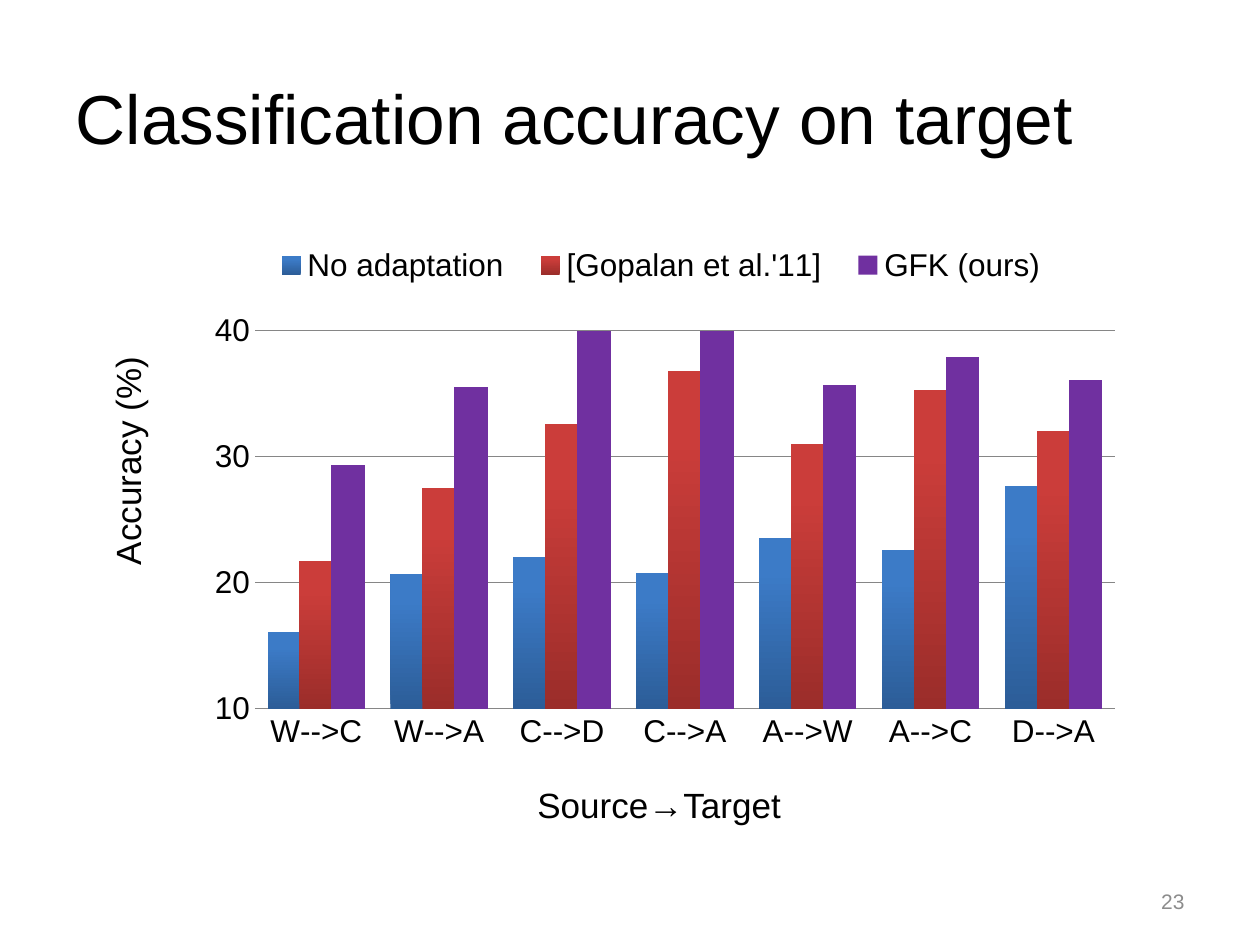
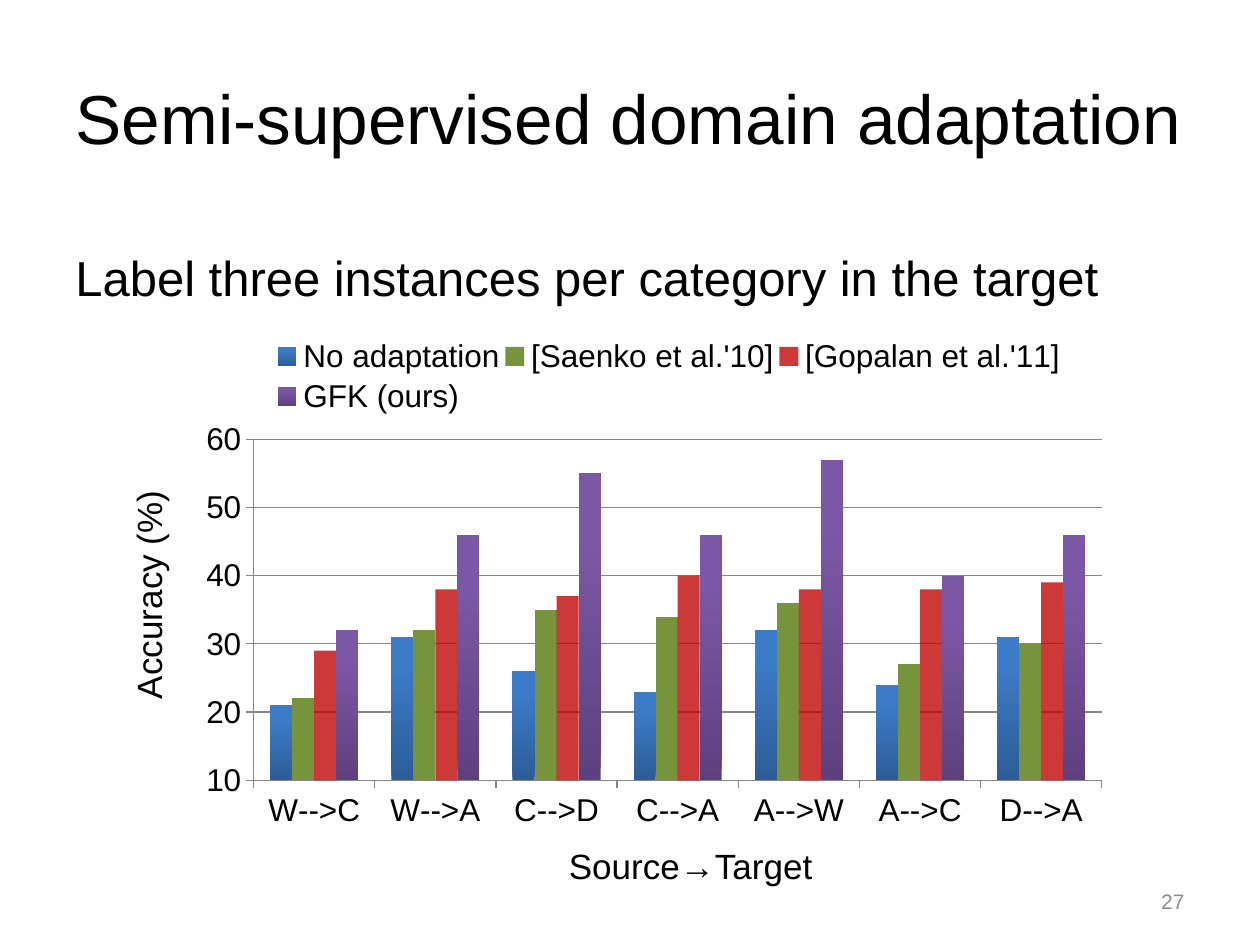
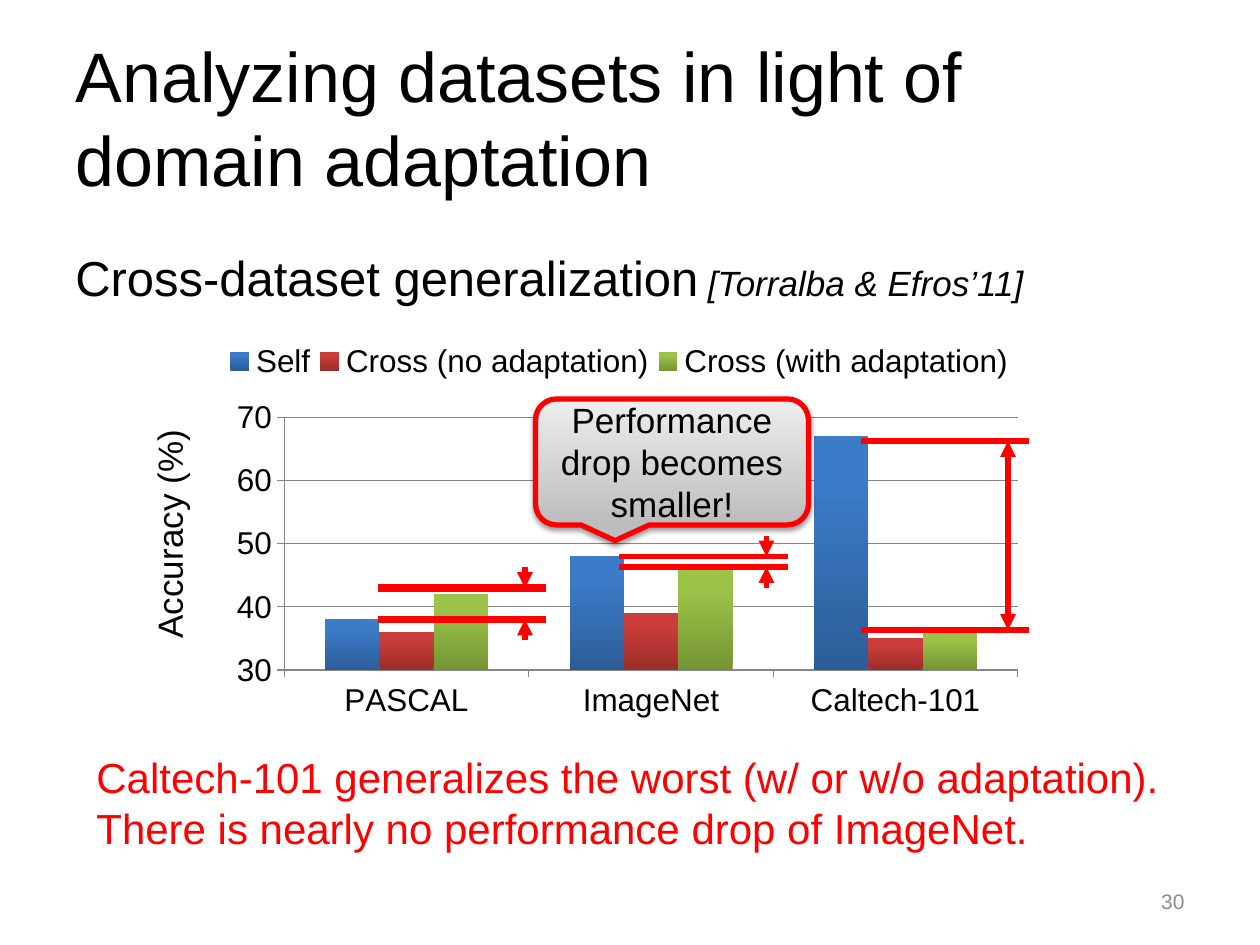
from lxml import etree
from pptx import Presentation
from pptx.chart.data import CategoryChartData
from pptx.dml.color import RGBColor
from pptx.enum.chart import XL_CHART_TYPE, XL_LEGEND_POSITION, XL_TICK_MARK
from pptx.enum.shapes import MSO_CONNECTOR, MSO_SHAPE
from pptx.enum.text import MSO_ANCHOR, MSO_AUTO_SIZE, PP_ALIGN
from pptx.oxml.ns import qn
from pptx.util import Pt

CLUSTERED = XL_CHART_TYPE.COLUMN_CLUSTERED
LEGEND_RIGHT = XL_LEGEND_POSITION.RIGHT
TICK_NONE = XL_TICK_MARK.NONE
TICK_OUT = XL_TICK_MARK.OUTSIDE
STRAIGHT = MSO_CONNECTOR.STRAIGHT
CALLOUT = MSO_SHAPE.ROUNDED_RECTANGULAR_CALLOUT
MIDDLE = MSO_ANCHOR.MIDDLE
TOP = MSO_ANCHOR.TOP
NO_FIT = MSO_AUTO_SIZE.NONE
LEFT = PP_ALIGN.LEFT
RIGHT = PP_ALIGN.RIGHT
CENTER = PP_ALIGN.CENTER

FONT = "Arial"
BLACK = "000000"
RED = "FF0000"
NUMBER_GRAY = "8C8C8C"
AXIS_GRAY = "868686"
BLUE_BAR = ("2C5D98", "3C7BC7")
RED_BAR = ("9B2D2A", "CB3D3A")
GREEN_BAR = ("769535", "9BC348")
PURPLE_BAR = ("5D417E", "7B58A6")

TITLE_BOX = (36, 21.6, 648, 90)
DOMAIN_PAIRS = ["W-->C", "W-->A", "C-->D", "C-->A", "A-->W", "A-->C", "D-->A"]


def rgb(value):
    return RGBColor.from_string(value)


def points(*lengths):
    return [Pt(n) for n in lengths]


def format_run(r, size, color=BLACK, italic=False):
    r.font.name = FONT
    r.font.size = Pt(size)
    r.font.color.rgb = rgb(color)
    r.font.italic = italic


def format_text(tf, size, color=BLACK, align=LEFT, anchor=TOP):
    tf.word_wrap = True
    tf.auto_size = NO_FIT
    tf.vertical_anchor = anchor
    for p in tf.paragraphs:
        p.alignment = align
        for r in p.runs:
            format_run(r, size, color)


def add_text(slide, box, text, size, color=BLACK, align=LEFT, anchor=TOP):
    sp = slide.shapes.add_textbox(*points(*box))
    sp.text_frame.text = text
    format_text(sp.text_frame, size, color, align, anchor)
    return sp


def add_titled_slide(prs, title, number, size=39.6, width=648):
    slide = prs.slides.add_slide(prs.slide_layouts[5])
    sp = slide.shapes.title
    left, top, _, height = TITLE_BOX
    sp.left, sp.top, sp.width, sp.height = points(left, top, width, height)
    sp.text_frame.text = title
    format_text(sp.text_frame, size, anchor=MIDDLE)
    add_text(slide, (516, 500.4, 168, 28.8), str(number), 12, NUMBER_GRAY, RIGHT, MIDDLE)
    return slide


def add_lead(slide, text, citation=""):
    sp = add_text(slide, (36, 138, 648, 48), text, 28)
    p = sp.text_frame.paragraphs[0]
    p.space_before = Pt(5.6)
    if citation:
        r = p.add_run()
        r.text = citation
        format_run(r, 20, italic=True)


def add_accuracy_label(slide, left, top):
    sp = add_text(slide, (left, top, 39, 138), "Accuracy (%)", 20)
    sp.text_frame._txBody.bodyPr.set("vert", "eaVert")
    sp.rotation = 180


def add_direction_label(slide, left, top):
    add_text(slide, (left, top, 216, 31.5), "Source→Target", 20)


def set_gradient(fill, bottom, top, top_position):
    fill.gradient()
    fill.gradient_angle = 90
    first, last = fill.gradient_stops
    first.color.rgb, first.position = rgb(bottom), 0
    last.color.rgb, last.position = rgb(top), top_position


def set_bar_fill(fill, color, alpha=None):
    if isinstance(color, tuple):
        set_gradient(fill, *color, 0.8)
        return
    fill.solid()
    fill.fore_color.rgb = rgb(color)
    if alpha:
        tint = fill._xPr.find(".//" + qn("a:srgbClr"))
        etree.SubElement(tint, qn("a:alpha")).set("val", str(alpha * 1000))


def set_layout(parent, index, box, inner=False):
    for old in parent.findall(qn("c:layout")):
        parent.remove(old)
    layout = etree.Element(qn("c:layout"))
    manual = etree.SubElement(layout, qn("c:manualLayout"))
    values = [("layoutTarget", "inner")] if inner else []
    values += [("xMode", "edge"), ("yMode", "edge")]
    values += zip("xywh", box)
    for name, value in values:
        etree.SubElement(manual, qn("c:" + name)).set("val", str(value))
    parent.insert(index, layout)


def format_axis(axis, tick):
    axis.major_tick_mark = tick
    axis.minor_tick_mark = TICK_NONE
    axis.format.line.color.rgb = rgb(AXIS_GRAY)
    axis.format.line.width = Pt(0.75)


def add_bars(slide, box, categories, series, scale, plot_box, legend_box,
             gap=150, overlap=0, tick=TICK_OUT):
    data = CategoryChartData()
    data.categories = categories
    for name, values, *_ in series:
        data.add_series(name, values)
    chart = slide.shapes.add_chart(CLUSTERED, *points(*box), data).chart
    chart.has_title = False
    chart.font.name = FONT
    chart.font.size = Pt(18)
    chart.font.color.rgb = rgb(BLACK)

    plot = chart.plots[0]
    plot.gap_width = gap
    plot.overlap = overlap
    plot.vary_by_categories = False
    for bars, (_, _, *style) in zip(plot.series, series):
        bars.invert_if_negative = False
        set_bar_fill(bars.format.fill, *style)

    format_axis(chart.category_axis, tick)
    axis = chart.value_axis
    format_axis(axis, tick)
    axis.minimum_scale, axis.maximum_scale = scale
    axis.major_unit = 10
    axis.has_major_gridlines = True
    grid = axis.major_gridlines.format.line
    grid.color.rgb = rgb(AXIS_GRAY)
    grid.width = Pt(0.75)

    chart.has_legend = True
    chart.legend.position = LEGEND_RIGHT
    chart.legend.include_in_layout = False
    set_layout(chart.legend._element, 1, legend_box)
    set_layout(plot._element.getparent(), 0, plot_box, inner=True)
    return chart


def add_line(slide, start, end, width=3, heads=()):
    line = slide.shapes.add_connector(STRAIGHT, *points(*start, *end))
    line.line.color.rgb = rgb(RED)
    line.line.width = Pt(width)
    for head in heads:
        etree.SubElement(line.line._ln, qn("a:" + head)).set("type", "triangle")
    etree.SubElement(line._element.spPr, qn("a:effectLst"))


def add_gap_marker(slide, left, upper, lower, width=3, tail=None):
    arrow_x = left + 84
    for y in (upper, lower):
        add_line(slide, (left, y), (left + 96, y), width)
    if tail is None:
        add_line(slide, (arrow_x, upper), (arrow_x, lower), heads=("headEnd", "tailEnd"))
    else:
        for start, end in ((upper - tail, upper), (lower + tail, lower)):
            add_line(slide, (arrow_x, start), (arrow_x, end), heads=("tailEnd",))


def add_callout(slide, box, text):
    sp = slide.shapes.add_shape(CALLOUT, *points(*box))
    set_gradient(sp.fill, "BDBDBD", "EEEEEE", 1)
    sp.line.color.rgb = rgb(RED)
    sp.line.width = Pt(3)
    sp.shadow.inherit = False
    effects = sp._element.spPr.find(qn("a:effectLst"))
    shadow = etree.SubElement(effects, qn("a:outerShdw"), blurRad=str(Pt(3.1)),
                              dist=str(Pt(1.6)), dir="5400000", rotWithShape="0")
    color = etree.SubElement(shadow, qn("a:srgbClr"), val=BLACK)
    etree.SubElement(color, qn("a:alpha"), val="38000")
    sp.text_frame.text = text
    format_text(sp.text_frame, 20, align=CENTER, anchor=MIDDLE)


def build_target_accuracy(prs):
    slide = add_titled_slide(prs, "Classification accuracy on target", 23)
    series = [
        ("No adaptation", (16.1, 20.7, 22, 20.8, 23.5, 22.6, 27.7), BLUE_BAR),
        ("[Gopalan et al.'11]", (21.7, 27.5, 32.6, 36.8, 31, 35.3, 32), RED_BAR),
        ("GFK (ours)", (29.3, 35.5, 41.1, 40.4, 35.7, 37.9, 36.1), "7030A0"),
    ]
    chart = add_bars(slide, (102, 138, 546, 300), DOMAIN_PAIRS, series, (10, 40),
                     (0.08, 0.17, 0.9, 0.72), (0.08, 0, 0.85, 0.09),
                     gap=75, overlap=5, tick=TICK_NONE)
    chart.value_axis.format.line.fill.background()
    add_accuracy_label(slide, 57, 192)
    add_direction_label(slide, 300, 444)


def build_semi_supervised(prs):
    slide = add_titled_slide(prs, "Semi-supervised domain adaptation", 27, width=684)
    add_lead(slide, "Label three instances per category in the target")
    series = [
        ("No adaptation", (21, 31, 26, 23, 32, 24, 31), BLUE_BAR),
        ("[Saenko et al.'10]", (22, 32, 35, 34, 36, 27, 30), "77933C"),
        ("[Gopalan et al.'11]", (29, 38, 37, 40, 38, 38, 39), "C00000", 78),
        ("GFK (ours)", (32, 46, 55, 46, 57, 40, 46), PURPLE_BAR),
    ]
    add_bars(slide, (114, 191, 516, 300), DOMAIN_PAIRS, series, (10, 60),
             (0.07, 0.2, 0.94, 0.65), (0.08, 0, 0.88, 0.16))
    add_accuracy_label(slide, 69, 268.5)
    add_direction_label(slide, 318, 479)


def build_dataset_analysis(prs):
    slide = add_titled_slide(prs, "Analyzing datasets in light of domain adaptation", 30, size=40)
    add_lead(slide, "Cross-dataset generalization", " [Torralba & Efros’11]")
    series = [
        ("Self", (38, 48, 67), BLUE_BAR),
        ("Cross (no adaptation)", (36, 39, 35), RED_BAR),
        ("Cross (with adaptation)", (42, 46, 36), GREEN_BAR),
    ]
    add_bars(slide, (126, 192, 456, 222), ["PASCAL", "ImageNet", "Caltech-101"], series,
             (30, 70), (0.08, 0.21, 0.92, 0.65), (0, 0.01, 1, 0.11))
    add_accuracy_label(slide, 81, 234)
    add_callout(slide, (306, 228, 156, 72), "Performance drop becomes smaller!")
    add_gap_marker(slide, 216, 336, 354, width=4.5, tail=12)
    add_gap_marker(slide, 354, 318, 324, tail=12)
    add_gap_marker(slide, 492, 252, 360)
    add_text(slide, (48, 426, 672, 65.5),
             "Caltech-101 generalizes the worst (w/ or w/o adaptation).\n"
             "There is nearly no performance drop of ImageNet.", 24, RED)


def main():
    prs = Presentation()
    prs.slide_width, prs.slide_height = points(720, 540)
    build_target_accuracy(prs)
    build_semi_supervised(prs)
    build_dataset_analysis(prs)
    prs.save("out.pptx")


if __name__ == "__main__":
    main()
